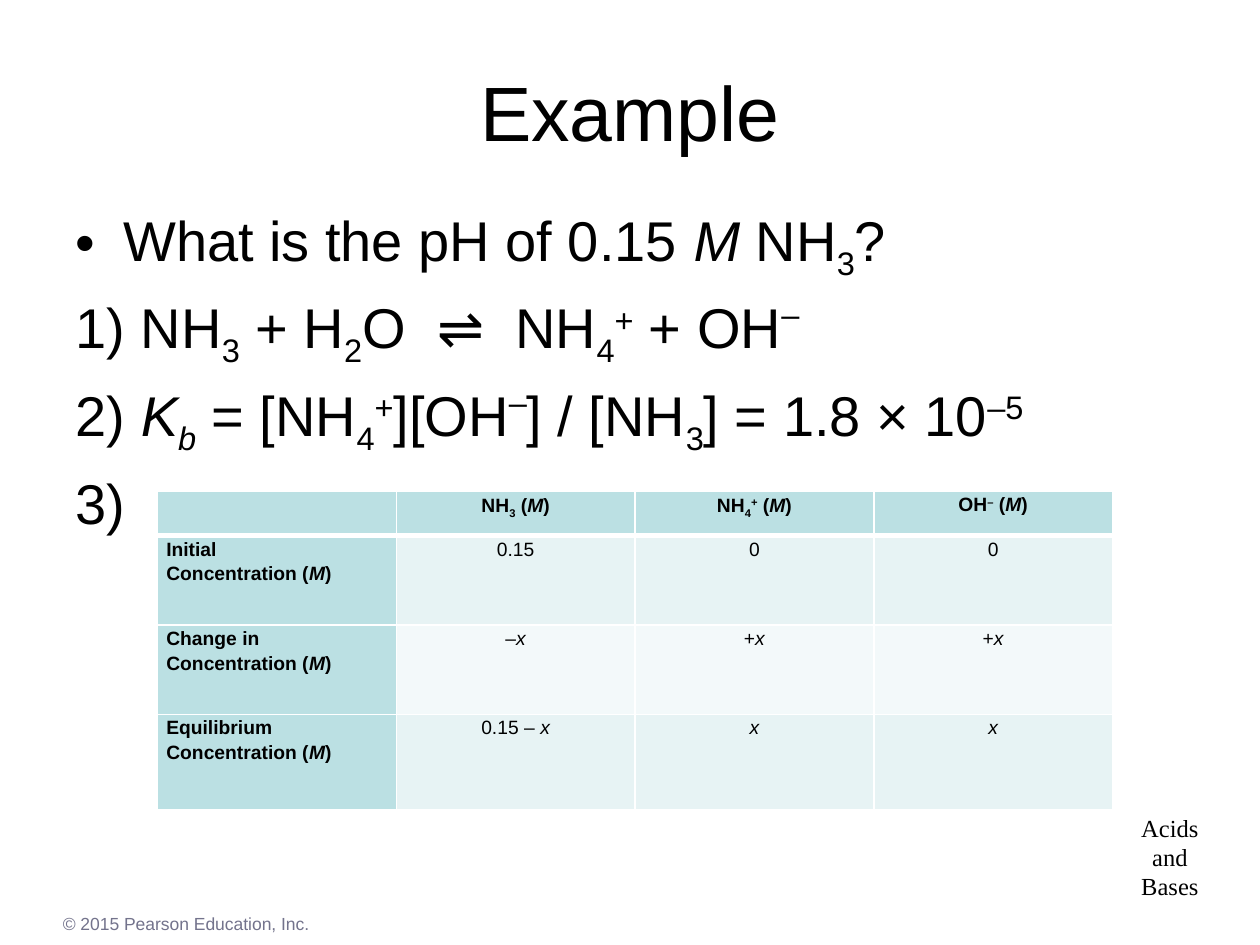
import pptx
import pptx.dml.color
import pptx.enum.text
import pptx.oxml.ns
import pptx.util
from dataclasses import dataclass
from lxml import etree
from pptx.util import Inches


@dataclass(frozen=True)
class Theme:
    font: str = "Arial"
    serif: str = "Times New Roman"
    text: str = "000000"
    credit: str = "73738C"
    header: str = "BBE0E3"
    bands: tuple = ("E7F3F4", "F3F9FA")
    border: str = "FFFFFF"
    title_size: int = 44
    body_size: int = 32
    chapter_size: int = 14
    table_size: int = 11
    credit_size: int = 10


theme = Theme()
ALIGN = pptx.enum.text.PP_ALIGN
SUB, SUP, HIGH = -25, 30, 40
qn = pptx.oxml.ns.qn


def add_runs(para, runs, size, color=theme.text, font=theme.font, bold=False):
    """Each run is (text, baseline percent, italic, tracking in points); only text is needed."""
    for text, *style in runs:
        baseline, italic, tracking = style + [0, False, 0][len(style):]
        span = para.add_run()
        span.text = text
        span.font.name = font
        span.font.size = pptx.util.Pt(size)
        span.font.bold = bold
        span.font.italic = italic
        span.font.color.rgb = pptx.dml.color.RGBColor.from_string(color)
        if baseline:
            span.font._element.set("baseline", str(baseline * 1000))
        if tracking:
            span.font._element.set("spc", str(tracking * 100))


def add_box(left, top, width, height):
    frame = slide.shapes.add_textbox(
        Inches(left), Inches(top), Inches(width), Inches(height)).text_frame
    frame.word_wrap = True
    return frame


deck = pptx.Presentation()
deck.slide_width, deck.slide_height = Inches(10), Inches(7.5)
slide = deck.slides.add_slide(deck.slide_layouts[6])

# Chapter name and copyright line
chapter = add_box(8.96, 6.4, 0.65, 0.8)
chapter.margin_left = chapter.margin_right = 0
for index, word in enumerate(["Acids", "and", "Bases"]):
    para = chapter.add_paragraph() if index else chapter.paragraphs[0]
    para.alignment = ALIGN.CENTER
    add_runs(para, [(word,)], theme.chapter_size, font=theme.serif)

credit = add_box(0.4, 7.2, 9, 0.27)
add_runs(credit.paragraphs[0], [("© 2015 Pearson Education, Inc.",)],
         theme.credit_size, theme.credit)

# Title
title = add_box(0, 0.25, 10, 1.25)
title.vertical_anchor = pptx.enum.text.MSO_ANCHOR.MIDDLE
title.paragraphs[0].alignment = ALIGN.CENTER
add_runs(title.paragraphs[0], [("Example",)], theme.title_size)

# Question and numbered steps
ammonia = [("NH",), ("3", SUB)]
ammonium = [("NH",), ("4", SUB), ("+", SUP)]
wide_space = (" ", 0, False, 9)
steps = [
    [("What is the pH of 0.15 ",), ("M", 0, True), (" ",), *ammonia, ("?",)],
    [(" ",), *ammonia, (" + H",), ("2", SUB), ("O",), wide_space, ("⇌",),
     wide_space, *ammonium, (" + OH",), ("–", HIGH)],
    [(" ",), ("K", 0, True), ("b", SUB, True), (" = [",), *ammonium, ("][OH",),
     ("–", HIGH), ("] / [",), *ammonia, ("] = 1.8 × 10",), ("–5", SUP)],
    [(" ",)],
]
body = add_box(0.5, 1.58, 9.08, 2.83)
indent = Inches(0.38)
for index, runs in enumerate(steps):
    para = body.add_paragraph() if index else body.paragraphs[0]
    properties = para._p.get_or_add_pPr()
    properties.set("marL", str(indent))
    properties.set("indent", str(-indent))
    if index:
        para.space_before = pptx.util.Pt(6.4)
    etree.SubElement(properties, qn("a:buFont"), typeface=theme.font)
    if index:
        etree.SubElement(properties, qn("a:buAutoNum"), type="arabicParenR")
    else:
        etree.SubElement(properties, qn("a:buChar"), char="•")
    add_runs(para, runs, theme.body_size)

# Concentration table: each cell is a list of paragraphs
molar = [(" (",), ("M", 0, True), (")",)]
change = [[("+",), ("x", 0, True)]]
unknown = [[("x", 0, True)]]
rows = [
    [[[]], [ammonia + molar], [ammonium + molar], [[("OH",), ("–", SUP)] + molar]],
    [[[("Initial",)], [("Concentration",)] + molar],
     [[("0.15",)]], [[("0",)]], [[("0",)]]],
    [[[("Change in Concentration",)] + molar],
     [[("–",), ("x", 0, True)]], change, change],
    [[[("Equilibrium Concentration",)] + molar],
     [[("0.15 – ",), ("x", 0, True)]], unknown, unknown],
]
heights = [0.35, 0.71, 0.71, 0.76]
table = slide.shapes.add_table(
    4, 4, Inches(1.25), Inches(3.9), Inches(7.58), Inches(sum(heights))).table
table.first_row = table.horz_banding = False
for column in table.columns:
    column.width = Inches(7.58 / 4)

for r, cells in enumerate(rows):
    table.rows[r].height = Inches(heights[r])
    for c, paragraphs in enumerate(cells):
        cell = table.cell(r, c)
        cell.margin_left = cell.margin_right = Inches(0.07)
        cell.margin_top = cell.margin_bottom = 0
        heading = r == 0 or c == 0

        thick_side = {0: "lnB", 1: "lnT"}.get(r)
        for side in ("lnL", "lnR", "lnT", "lnB"):
            points = 3 if side == thick_side else 1
            line = etree.SubElement(cell._tc.get_or_add_tcPr(), qn("a:" + side),
                                    w=str(pptx.util.Pt(points)))
            paint = etree.SubElement(line, qn("a:solidFill"))
            etree.SubElement(paint, qn("a:srgbClr"), val=theme.border)
        cell.fill.solid()
        cell.fill.fore_color.rgb = pptx.dml.color.RGBColor.from_string(
            theme.header if heading else theme.bands[(r - 1) % 2])

        for index, runs in enumerate(paragraphs):
            frame = cell.text_frame
            para = frame.add_paragraph() if index else frame.paragraphs[0]
            para.alignment = ALIGN.CENTER if c else ALIGN.LEFT
            para.line_spacing = 1.15
            add_runs(para, runs, theme.table_size, bold=heading)

deck.save("out.pptx")
